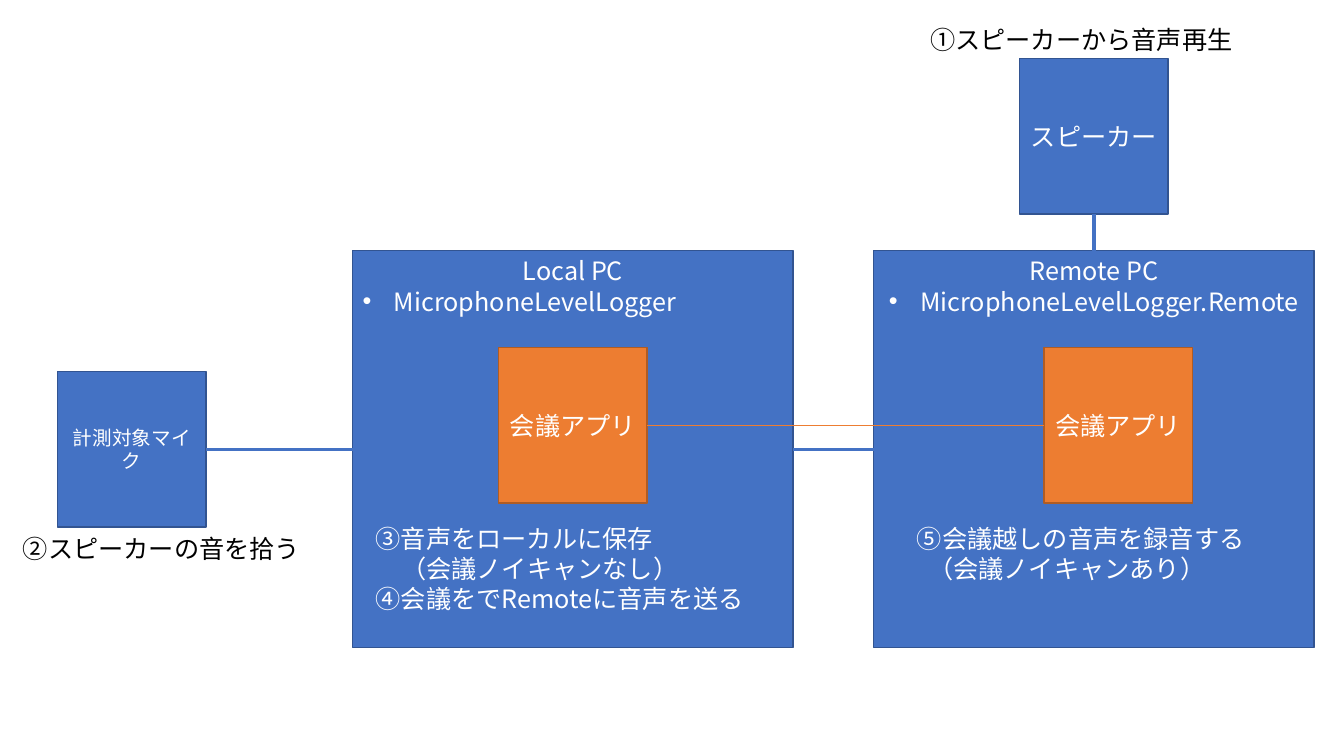
from pptx import Presentation
from pptx.dml.color import RGBColor
from pptx.enum.shapes import MSO_CONNECTOR, MSO_SHAPE
from pptx.enum.text import MSO_ANCHOR, MSO_AUTO_SIZE, PP_ALIGN
from pptx.oxml.ns import qn
from pptx.util import Cm, Pt
from lxml.etree import SubElement

BLUE = RGBColor(0x44, 0x72, 0xC4)
NAVY = RGBColor(0x32, 0x54, 0x91)
ORANGE = RGBColor(0xED, 0x7D, 0x31)
RUST = RGBColor(0xAF, 0x5C, 0x24)
WHITE = RGBColor(255, 255, 255)
BLACK = RGBColor(0, 0, 0)
FONT = "Noto Sans CJK JP"
MID, LEFT = PP_ALIGN.CENTER, PP_ALIGN.LEFT

PC_TOP, PC_W, PC_H = 6.32, 11.1, 10
BOX_W, BOX_H = 3.74, 3.92
APP_TOP = 8.76
LOCAL_X, REMOTE_X = 8.89, 22.02
MID_X = PC_W / 2 - BOX_W / 2

PCS = {
    "local": (LOCAL_X, "Local PC", "MicrophoneLevelLogger", LEFT),
    "remote": (REMOTE_X, "Remote PC", "MicrophoneLevelLogger.Remote", MID),
}
BOXES = {
    "speaker": (REMOTE_X + MID_X, 1.47, "スピーカー", 18, BLUE, NAVY),
    "mic": (1.45, PC_TOP + PC_H / 2 - BOX_H / 2, "計測対象マイク", 14, BLUE, NAVY),
    "local app": (LOCAL_X + MID_X, APP_TOP, "会議アプリ", 18, ORANGE, RUST),
    "remote app": (26.31, APP_TOP, "会議アプリ", 18, ORANGE, RUST),
}
LINKS = [
    ("local", 3, "remote", 1, BLUE, 2.25),
    ("speaker", 2, "remote", 0, BLUE, 2.25),
    ("mic", 3, "local", 1, BLUE, 2.25),
    ("local app", 3, "remote app", 1, ORANGE, 1),
]
NOTES = [
    (23.19, 0.5, 8.2, 1.03, False, BLACK, [("①スピーカーから音声再生", 0)]),
    (0.33, 13.31, 7.57, 1.03, False, BLACK, [("②スピーカーの音を拾う", 0)]),
    (9.22, 13.06, 11.07, 2.57, True, WHITE, [
        ("③音声をローカルに保存", 0),
        ("（会議ノイキャンなし）", 0.64),
        ("④会議をでRemoteに音声を送る", 0)]),
    (22.86, 13.06, 9.55, 1.8, False, WHITE, [
        ("⑤会議越しの音声を録音する", 0),
        ("（会議ノイキャンあり）", 0.28)]),
]


def write(frame, text, size=18, color=WHITE, align=LEFT, indent=0, bullet=False):
    first = frame.paragraphs[0]
    para = frame.add_paragraph() if first.runs else first
    para.alignment = align
    run = para.add_run()
    run.text = text
    run.font.size = Pt(size)
    run.font.name = FONT
    run.font.color.rgb = color
    SubElement(run.font._element, qn("a:ea"), typeface=FONT)
    props = para._p.get_or_add_pPr()
    if indent:
        props.set("marL", str(Cm(indent)))
    if bullet:
        props.set("indent", str(-Cm(indent)))
        SubElement(props, qn("a:buFont"), typeface="Arial")
        SubElement(props, qn("a:buChar"), char="•")


def block(x, y, w, h, fill, edge, anchor):
    shape = slide.shapes.add_shape(MSO_SHAPE.RECTANGLE, Cm(x), Cm(y), Cm(w), Cm(h))
    shape.shadow.inherit = False
    shape.fill.solid()
    shape.fill.fore_color.rgb = fill
    shape.line.color.rgb = edge
    shape.line.width = Pt(1)
    shape.text_frame.word_wrap = True
    shape.text_frame.vertical_anchor = anchor
    return shape


deck = Presentation()
deck.slide_width, deck.slide_height = Cm(33.87), Cm(19.05)
slide = deck.slides.add_slide(deck.slide_layouts[6])
nodes = {}

for key, (x, title, app, align) in PCS.items():
    nodes[key] = block(x, PC_TOP, PC_W, PC_H, BLUE, NAVY, MSO_ANCHOR.TOP)
    frame = nodes[key].text_frame
    write(frame, title, align=MID)
    write(frame, app, align=align, indent=0.79, bullet=True)

for key, (x, y, text, size, fill, edge) in BOXES.items():
    nodes[key] = block(x, y, BOX_W, BOX_H, fill, edge, MSO_ANCHOR.MIDDLE)
    write(nodes[key].text_frame, text, size=size, align=MID)

for start, out, end, into, color, width in LINKS:
    link = slide.shapes.add_connector(MSO_CONNECTOR.STRAIGHT, 0, 0, 0, 0)
    link.begin_connect(nodes[start], out)
    link.end_connect(nodes[end], into)
    link.line.color.rgb = color
    link.line.width = Pt(width)
    SubElement(link._element.spPr, qn("a:effectLst"))

for x, y, w, h, wrap, color, lines in NOTES:
    frame = slide.shapes.add_textbox(Cm(x), Cm(y), Cm(w), Cm(h)).text_frame
    frame.word_wrap = wrap
    frame.auto_size = MSO_AUTO_SIZE.SHAPE_TO_FIT_TEXT
    for text, indent in lines:
        write(frame, text, color=color, indent=indent)

deck.save("out.pptx")
